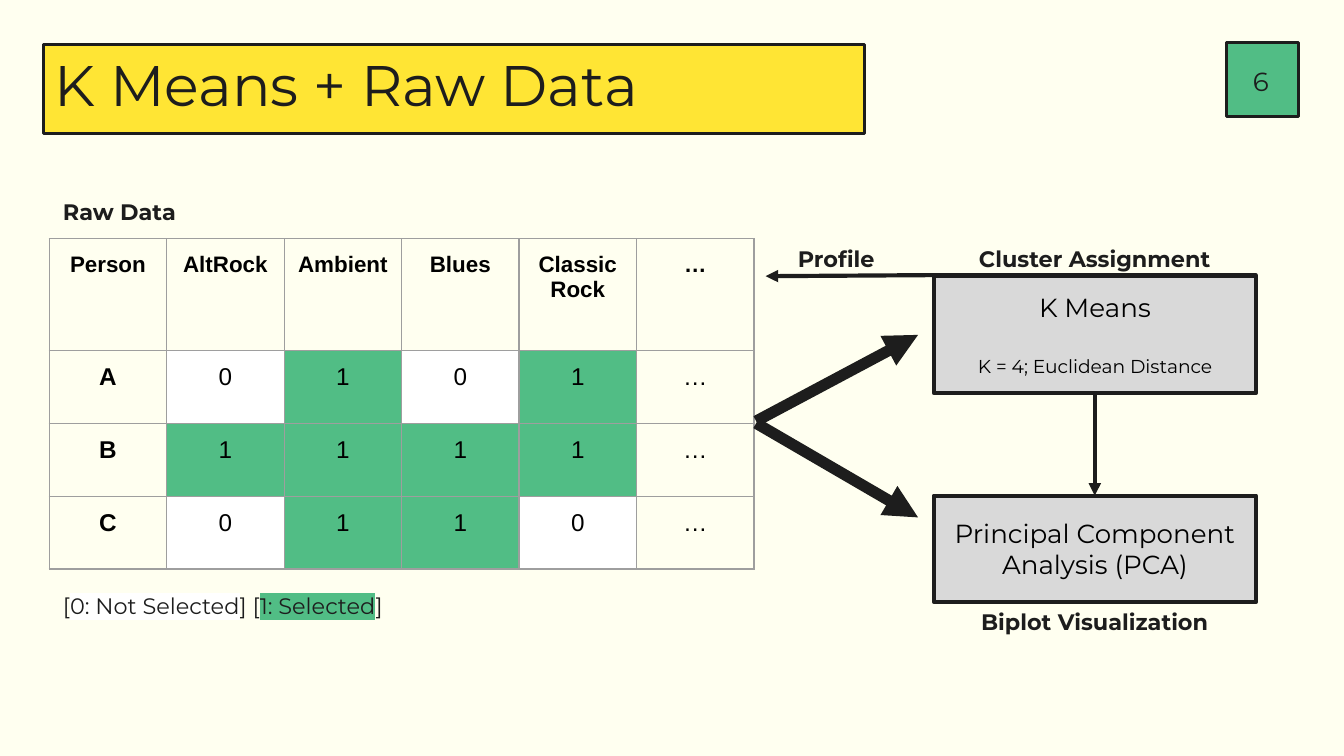
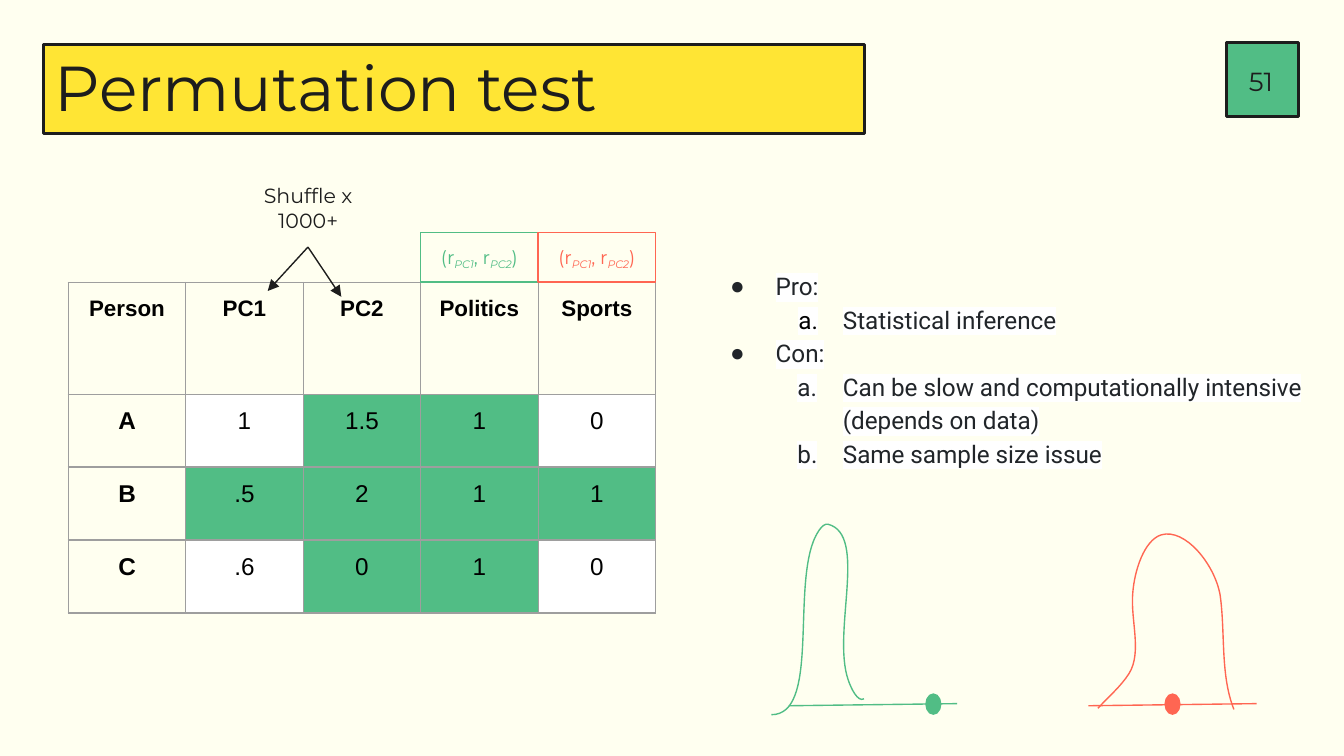
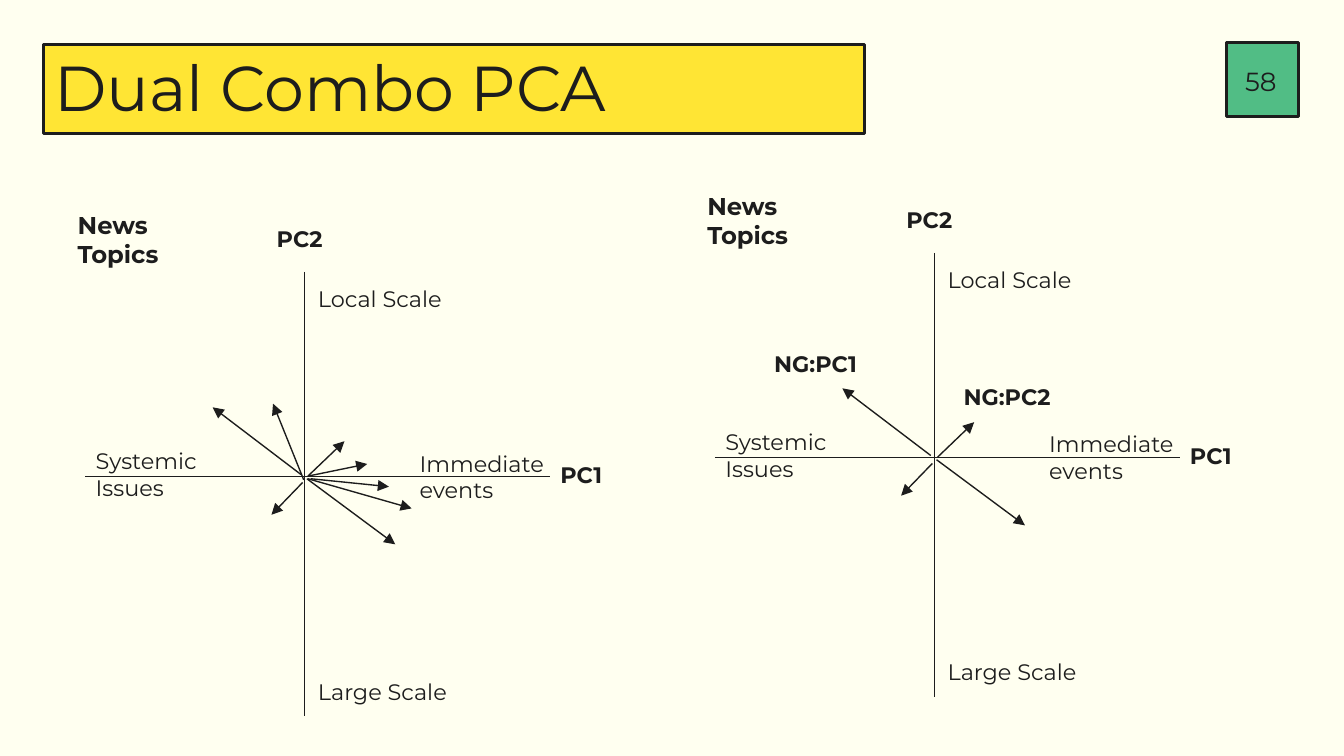
from dataclasses import dataclass
from typing import NamedTuple

from lxml import etree
from pptx import Presentation
from pptx.dml.color import RGBColor
from pptx.enum.shapes import MSO_CONNECTOR, MSO_SHAPE
from pptx.enum.text import MSO_ANCHOR, MSO_AUTO_SIZE, PP_ALIGN
from pptx.oxml.ns import qn
from pptx.util import Cm, Pt

LEFT, CENTER = PP_ALIGN.LEFT, PP_ALIGN.CENTER
TOP, MIDDLE = MSO_ANCHOR.TOP, MSO_ANCHOR.MIDDLE
RECTANGLE, OVAL = MSO_SHAPE.RECTANGLE, MSO_SHAPE.OVAL
STRAIGHT = MSO_CONNECTOR.STRAIGHT

# All lengths in the data below are centimetres.
Point = tuple[float, float]


@dataclass(frozen=True)
class Theme:
    cream: str = "FFFFF0"
    ink: str = "1D1D1D"
    yellow: str = "FFE534"
    green: str = "51BD85"
    red: str = "FF6652"
    gray: str = "D9D9D9"
    white: str = "FFFFFF"
    black: str = "000000"
    grid: str = "9E9E9E"
    list_ink: str = "212529"
    display: str = "Montserrat"
    table: str = "Arial"
    body: str = "Roboto"
    title_size: float = 34
    long_title_size: float = 30.6
    box_size: float = 14
    emphasis_size: float = 13
    label_size: float = 12
    note_size: float = 11
    small_size: float = 10
    hairline: float = 0.75
    band_line: float = 1.5
    box_line: float = 2.25
    heavy_line: float = 6


THEME = Theme()
INSET = 0.25
COLUMN = 2.22
HEADER_HEIGHT, ROW_HEIGHT = 2.11, 1.38


class Box(NamedTuple):
    left: float
    top: float
    width: float
    height: float = 1.02


class Span(NamedTuple):
    text: str
    highlight: str = ""
    subscript: bool = False


@dataclass(frozen=True)
class Line:
    """One paragraph and its formatting."""
    spans: tuple[Span, ...]
    size: float = THEME.label_size
    bold: bool = False
    color: str = THEME.ink
    font: str = THEME.display
    align: PP_ALIGN = LEFT
    before: float = 0


@dataclass(frozen=True)
class Label:
    text: str
    box: Box
    bold: bool = False
    size: float = THEME.label_size
    align: PP_ALIGN = LEFT


@dataclass(frozen=True)
class Arrow:
    start: Point
    end: Point
    weight: float = THEME.hairline
    color: str = THEME.ink
    head: bool = True


class Row(NamedTuple):
    """A table row; shades has one letter per value: w white, g green, - none."""
    person: str
    values: str
    shades: str


class Item(NamedTuple):
    text: str
    level: int
    hanging: float
    marker_color: str = THEME.list_ink


class Curve(NamedTuple):
    """A start point and cubic segments of two controls and an end."""
    color: str
    start: Point
    segments: tuple[tuple[Point, Point, Point], ...]


def rgb(color: str) -> RGBColor:
    return RGBColor.from_string(color)


def lengths(values: tuple[float, ...]) -> list[Cm]:
    return [Cm(value) for value in values]


def set_font(font, name: str, size: float, color: str, bold: bool = False) -> None:
    font.name, font.size, font.bold = name, Pt(size), bold
    font.color.rgb = rgb(color)


def set_frame(frame, anchor: MSO_ANCHOR = TOP) -> None:
    frame.word_wrap = True
    frame.auto_size = MSO_AUTO_SIZE.NONE
    frame.vertical_anchor = anchor
    frame.margin_left = frame.margin_right = Cm(INSET)
    frame.margin_top = frame.margin_bottom = Cm(INSET)


def add_span(para, span: Span) -> None:
    run = para.add_run()
    run.text = span.text
    properties = run.font._element
    if span.subscript:
        run.font.italic = True
        properties.set("baseline", "-25000")
    if span.highlight:
        mark = etree.SubElement(properties, qn("a:highlight"))
        etree.SubElement(mark, qn("a:srgbClr"), val=span.highlight)


def write(frame, lines: list[Line], anchor: MSO_ANCHOR = TOP) -> None:
    set_frame(frame, anchor)
    for index, line in enumerate(lines):
        para = frame.add_paragraph() if index else frame.paragraphs[0]
        para.alignment = line.align
        if line.before:
            para.space_before = Pt(line.before)
        set_font(para.font, line.font, line.size, line.color, line.bold)
        for span in line.spans:
            add_span(para, span)


def add_text(page, box: Box, lines: list[Line], anchor: MSO_ANCHOR = TOP) -> None:
    write(page.shapes.add_textbox(*lengths(box)).text_frame, lines, anchor)


def add_label(page, label: Label, origin: Point = (0, 0)) -> None:
    box = label.box._replace(left=origin[0] + label.box.left, top=origin[1] + label.box.top)
    add_text(page, box, [
        Line((Span(text),), label.size, label.bold, align=label.align)
        for text in label.text.split("\n")
    ])


def set_outline(shape, color: str, weight: float) -> None:
    shape.line.color.rgb = rgb(color)
    shape.line.width = Pt(weight)


def add_box(page, box: Box, fill: str, outline: str, weight: float, preset=RECTANGLE):
    shape = page.shapes.add_shape(preset, *lengths(box))
    shape.shadow.inherit = False
    if fill:
        shape.fill.solid()
        shape.fill.fore_color.rgb = rgb(fill)
    else:
        shape.fill.background()
    set_outline(shape, outline, weight)
    return shape


def add_arrow(page, arrow: Arrow, origin: Point = (0, 0)) -> None:
    ends = [Cm(base + value) for point in (arrow.start, arrow.end)
            for base, value in zip(origin, point)]
    connector = page.shapes.add_connector(STRAIGHT, *ends)
    set_outline(connector, arrow.color, arrow.weight)
    properties = connector.element.spPr
    if arrow.head:
        etree.SubElement(properties.find(qn("a:ln")), qn("a:tailEnd"), type="triangle")
    etree.SubElement(properties, qn("a:effectLst"))


def add_curve(page, curve: Curve) -> None:
    """Build the outline through all points, then join each three into one cubic."""
    builder = page.shapes.build_freeform(*lengths(curve.start))
    builder.add_line_segments(
        [lengths(point) for segment in curve.segments for point in segment], close=False)
    shape = builder.convert_to_shape()
    sides = list(shape.element.iter(qn("a:lnTo")))
    for index in range(0, len(sides), 3):
        cubic = etree.Element(qn("a:cubicBezTo"))
        sides[index].addprevious(cubic)
        for side in sides[index:index + 3]:
            cubic.append(side[0])
            side.getparent().remove(side)
    shape.shadow.inherit = False
    shape.fill.background()
    set_outline(shape, curve.color, THEME.hairline)


def fill_cell(cell, text: str, size: float, bold: bool, fill: str = "") -> None:
    properties = cell._tc.get_or_add_tcPr()
    for side in ("lnL", "lnR", "lnT", "lnB"):
        border = etree.SubElement(properties, qn(f"a:{side}"), w=str(Pt(THEME.hairline)))
        solid = etree.SubElement(border, qn("a:solidFill"))
        etree.SubElement(solid, qn("a:srgbClr"), val=THEME.grid)
    if fill:
        cell.fill.solid()
        cell.fill.fore_color.rgb = rgb(fill)
    else:
        cell.fill.background()
    cell.margin_left = cell.margin_right = Cm(INSET)
    cell.margin_top = cell.margin_bottom = Cm(INSET)
    para = cell.text_frame.paragraphs[0]
    para.text = text
    para.alignment = CENTER
    set_font(para.font, THEME.table, size, THEME.black, bold)


def add_person_table(page, left: float, top: float, headers: list[str], rows: list[Row]) -> None:
    height = HEADER_HEIGHT + ROW_HEIGHT * len(rows)
    box = Box(left, top, COLUMN * len(headers), height)
    table = page.shapes.add_table(len(rows) + 1, len(headers), *lengths(box)).table
    table.first_row = table.horz_banding = False
    for column in table.columns:
        column.width = Cm(COLUMN)
    for index, table_row in enumerate(table.rows):
        table_row.height = Cm(ROW_HEIGHT if index else HEADER_HEIGHT)
    for column, header in enumerate(headers):
        fill_cell(table.cell(0, column), header, THEME.label_size, True)
    shades = {"w": THEME.white, "g": THEME.green, "-": ""}
    for index, row in enumerate(rows, 1):
        fill_cell(table.cell(index, 0), row.person, THEME.emphasis_size, True)
        for column, (value, shade) in enumerate(zip(row.values.split(), row.shades), 1):
            fill_cell(table.cell(index, column), value, THEME.emphasis_size, False, shades[shade])


def add_items(holder, box: Box, items: list[Item]) -> None:
    """Fill the body placeholder with bulleted and lettered items."""
    holder.left, holder.top, holder.width, holder.height = lengths(box)
    frame = holder.text_frame
    set_frame(frame)
    for index, item in enumerate(items):
        para = frame.add_paragraph() if index else frame.paragraphs[0]
        para.level = item.level
        para.alignment = LEFT
        para.line_spacing = 1.15
        para.space_before = Pt(0)
        properties = para._p.get_or_add_pPr()
        properties.set("marL", str(Cm(1.27 * (item.level + 1))))
        properties.set("indent", str(-Cm(item.hanging)))
        marker = etree.SubElement(properties, qn("a:buClr"))
        etree.SubElement(marker, qn("a:srgbClr"), val=item.marker_color)
        if item.level:
            etree.SubElement(properties, qn("a:buFont"), typeface=THEME.body)
            etree.SubElement(properties, qn("a:buAutoNum"), type="alphaLcPeriod")
        else:
            etree.SubElement(properties, qn("a:buFont"), typeface=THEME.table)
            etree.SubElement(properties, qn("a:buChar"), char="●")
        set_font(para.font, THEME.body, THEME.emphasis_size, THEME.list_ink)
        add_span(para, Span(item.text, THEME.white))


def style_master(deck, page) -> None:
    """Set the background and move the title band and number box to the master."""
    master = deck.slide_master
    master.background.fill.solid()
    master.background.fill.fore_color.rgb = rgb(THEME.cream)
    bands = [(Box(23.18, 0.8, 1.36, 1.4), THEME.green),
             (Box(0.82, 0.84, 15.52, 1.68), THEME.yellow)]
    for number, (box, fill) in enumerate(bands, 20):
        band = add_box(page, box, fill, THEME.ink, THEME.band_line)
        band.element.xpath("./p:nvSpPr/p:cNvPr")[0].set("id", str(number))
        master.shapes.element.append(band.element)


def add_heading(page, title: str, number: int, size: float = THEME.title_size) -> None:
    holder = page.shapes.title
    holder.left, holder.top, holder.width, holder.height = lengths(Box(0.78, 0.94, 15.44, 1.88))
    write(holder.text_frame, [Line((Span(title),), size)])
    holder.text_frame.paragraphs[0].line_spacing = 0.8
    add_text(page, Box(23.15, 0.84, 1.36, 1.4),
             [Line((Span(str(number)),), THEME.box_size, align=CENTER)], MIDDLE)


def build_raw_data(page) -> None:
    add_heading(page, "K Means + Raw Data", 6, THEME.long_title_size)
    add_person_table(
        page, 0.93, 4.51, ["Person", "AltRock", "Ambient", "Blues", "Classic\vRock", "…"],
        [Row("A", "0 1 0 1 …", "wgwg-"),
         Row("B", "1 1 1 1 …", "gggg-"),
         Row("C", "0 1 1 0 …", "wggw-")])
    steps = [
        (Box(17.65, 5.21, 6.09, 2.22), [("K Means", THEME.box_size, 0),
                                        ("K = 4; Euclidean Distance", THEME.small_size, 17)]),
        (Box(17.65, 9.37, 6.09, 2.01),
         [("Principal Component Analysis (PCA)", THEME.box_size, 0)]),
    ]
    for box, texts in steps:
        shape = add_box(page, box, THEME.gray, THEME.ink, THEME.box_line)
        write(shape.text_frame, [
            Line((Span(text),), size, color=THEME.black, align=CENTER, before=before)
            for text, size, before in texts], MIDDLE)
    for arrow in (
        Arrow((14.29, 7.96), (17.35, 6.33), THEME.heavy_line),
        Arrow((14.29, 8), (17.35, 9.78), THEME.heavy_line),
        Arrow((20.69, 7.43), (20.69, 9.37), THEME.box_line),
        Arrow((17.65, 5.2), (14.47, 5.22), THEME.box_line),
    ):
        add_arrow(page, arrow)
    for label in (
        Label("Raw Data", Box(0.94, 3.5, 5.36), True),
        Label("Profile", Box(14.7, 4.38, 2.21), True, align=CENTER),
        Label("Cluster Assignment", Box(18.01, 4.38, 5.36), True, align=CENTER),
        Label("Biplot Visualization", Box(18.01, 11.25, 5.36), True, align=CENTER),
    ):
        add_label(page, label)
    add_text(page, Box(0.94, 10.94, 13.31), [Line((
        Span("["), Span("0: Not Selected", THEME.white), Span("] ["),
        Span("1: Selected", THEME.green), Span("]")))])


def build_permutation(page) -> None:
    table_left, table_top = 1.29, 5.34
    add_heading(page, "Permutation test", 51)
    add_items(page.placeholders[1], Box(13.14, 4.8, 11.8, 4.27), [
        Item("Pro:", 0, 0.86),
        Item("Statistical inference", 1, 0.84, THEME.black),
        Item("Con:", 0, 0.86),
        Item("Can be slow and computationally intensive (depends on data)", 1, 0.86),
        Item("Same sample size issue", 1, 0.86),
    ])
    add_person_table(page, table_left, table_top, ["Person", "PC1", "PC2", "Politics", "Sports"],
                     [Row("A", "1 1.5 1 0", "wggw"),
                      Row("B", ".5 2 1 1", "gggg"),
                      Row("C", ".6 0 1 0", "wggw")])
    add_label(page, Label("Shuffle x 1000+", Box(4.44, 3.21, 2.77, 1.45),
                          size=THEME.note_size, align=CENTER))
    for end in ((5.06, 5.5), (6.45, 5.61)):
        add_arrow(page, Arrow((5.82, 4.67), end))
    correlation = (Span("(r"), Span("PC1", subscript=True), Span(", r"),
                   Span("PC2", subscript=True), Span(")"))
    for column, color in ((3, THEME.green), (4, THEME.red)):
        box = Box(table_left + column * COLUMN, table_top - 0.95, COLUMN, 0.94)
        shape = add_box(page, box, "", color, THEME.hairline)
        write(shape.text_frame, [Line(correlation, THEME.small_size, color=color, align=CENTER)])
    curves = [
        (Curve(THEME.green, (14.58, 13.51), (
            ((15.47, 13.51), (14.99, 11.25), (15.37, 10.24)),
            ((15.42, 10.11), (15.54, 9.88), (15.65, 9.91)),
            ((16.41, 10.11), (15.72, 11.94), (16.03, 12.85)),
            ((16.08, 13), (16.21, 13.28), (16.33, 13.21)))), 14.91, 17.5),
        (Curve(THEME.red, (20.75, 13.39), (
            ((20.96, 13.16), (21.18, 12.98), (21.34, 12.73)),
            ((21.59, 12.32), (21.36, 11.71), (21.41, 11.2)),
            ((21.44, 10.8), (21.62, 10.21), (21.95, 10.11)),
            ((22.4, 9.98), (22.96, 10.67), (23.06, 11.25)),
            ((23.16, 11.96), (23.06, 12.75), (23.32, 13.41)))), 20.57, 22.02),
    ]
    for curve, base_left, dot_left in curves:
        add_arrow(page, Arrow((base_left, 13.34), (base_left + 3.18, 13.3),
                              color=curve.color, head=False))
        add_box(page, Box(dot_left, 13.12, 0.28, 0.38), curve.color, curve.color,
                THEME.hairline, OVAL)
        add_curve(page, curve)


def add_biplot(page, origin: Point, arrows: list[Arrow], labels: list[Label]) -> None:
    """Draw the common axes, vectors and labels around origin, then the given ones."""
    common_arrows = [
        Arrow((0, -3.87), (0, 4.53), head=False),
        Arrow((-4.15, 0), (4.64, 0), head=False),
        Arrow((0.04, 0.04), (1.71, 1.28)),
        Arrow((0.06, -0.01), (0.75, -0.67)),
        Arrow((-0.04, 0.11), (-0.63, 0.72)),
        Arrow((-0.07, -0.04), (-1.74, -1.31)),
    ]
    common_labels = [
        Label("PC1", Box(4.58, -0.54, 1.35), True),
        Label("PC2", Box(-0.78, -5.01, 1.52), True),
        Label("News Topics", Box(-4.54, -5.29, 2.57, 1.63), True, THEME.emphasis_size),
        Label("Immediate events", Box(1.92, -0.76, 3.56, 1.55)),
        Label("Systemic\nIssues", Box(-4.2, -0.8, 3.56, 1.55)),
        Label("Local Scale", Box(0, -3.87, 3.56)),
        Label("Large Scale", Box(0, 3.55, 3.56)),
    ]
    for arrow in common_arrows + arrows:
        add_arrow(page, arrow, origin)
    for label in common_labels + labels:
        add_label(page, label, origin)


def build_dual_combo(page) -> None:
    add_heading(page, "Dual Combo PCA", 58)
    add_biplot(page, (17.66, 8.65), [], [
        Label("NG:PC2", Box(0.3, -1.66, 2.67), True),
        Label("NG:PC1", Box(-3.28, -2.28, 2.67), True),
    ])
    add_biplot(page, (5.76, 9.01), [
        Arrow((0.06, -0.01), (1.18, -0.24)),
        Arrow((0.11, 0.04), (1.59, 0.19)),
        Arrow((0.06, 0.04), (2.02, 0.6)),
        Arrow((-0.02, 0.06), (-0.6, -1.38)),
    ], [])


def main() -> None:
    deck = Presentation()
    deck.slide_width, deck.slide_height = Cm(25.4), Cm(14.29)
    list_layout = deck.slide_layouts.get_by_name("Title and Content")
    title_layout = deck.slide_layouts.get_by_name("Title Only")
    raw_data, permutation, dual_combo = [
        deck.slides.add_slide(layout) for layout in (title_layout, list_layout, title_layout)]
    style_master(deck, raw_data)
    build_raw_data(raw_data)
    build_permutation(permutation)
    build_dual_combo(dual_combo)
    deck.save("out.pptx")


if __name__ == "__main__":
    main()
